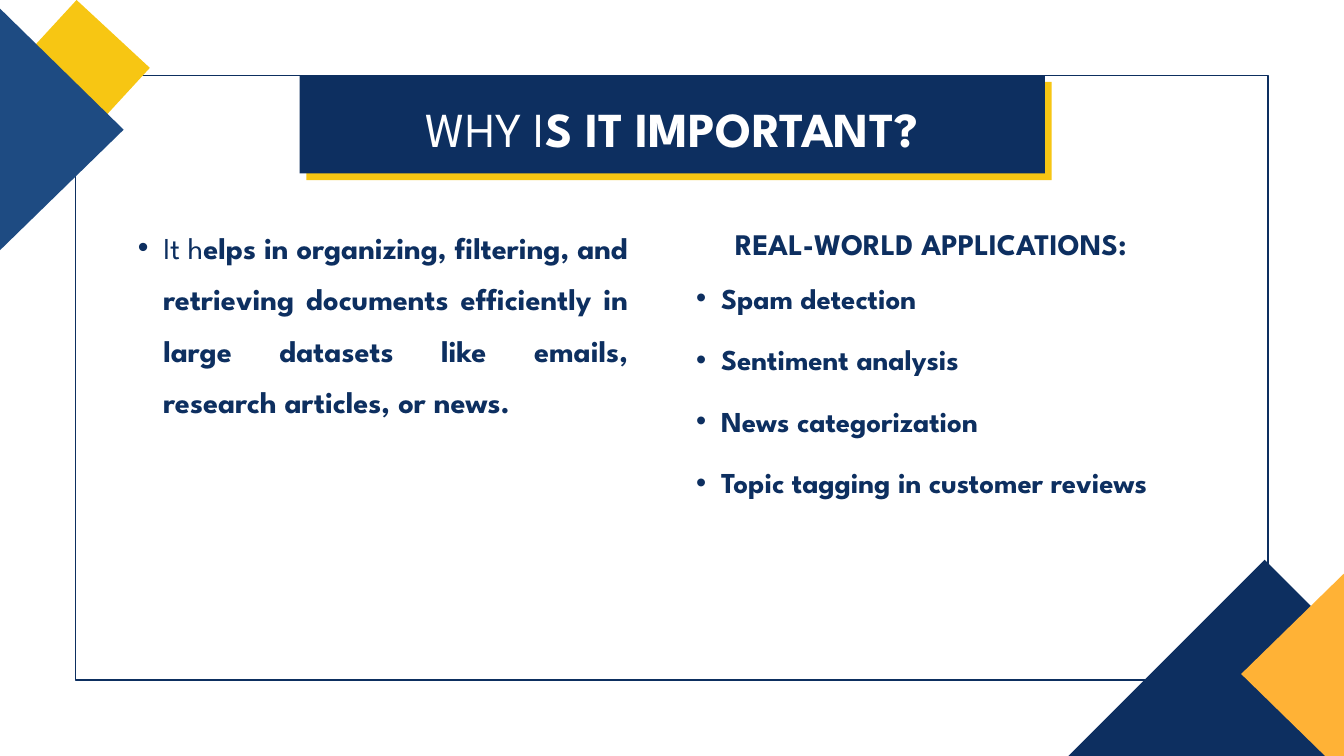
from dataclasses import dataclass

from lxml.etree import SubElement
from pptx import Presentation
from pptx.dml.color import RGBColor
from pptx.enum.shapes import MSO_SHAPE
from pptx.enum.text import MSO_ANCHOR, MSO_AUTO_SIZE, PP_ALIGN
from pptx.oxml.ns import qn
from pptx.util import Inches, Pt


@dataclass(frozen=True)
class Theme:
    font: str = "League Spartan"
    navy: str = "0D2F60"
    blue: str = "1E4B82"
    yellow: str = "F7C613"
    orange: str = "FFB236"
    white: str = "FFFFFF"
    title_size: float = 52.3
    heading_size: float = 32
    reason_size: float = 32.5
    application_size: float = 30.9


THEME = Theme()

REASON = [
    ("It h", False),
    ("elps in organizing, filtering, and retrieving documents efficiently "
     "in large datasets like emails, research articles, or news.", True),
]
APPLICATIONS = [
    "Spam detection",
    "Sentiment analysis",
    "News categorization",
    "Topic tagging in customer reviews",
]
CORNERS = [
    (THEME.yellow, [(1.14, 0), (2.23, 1.01), (0.96, 2.39), (-0.13, 1.38)]),
    (THEME.blue, [(1.84, 1.93), (-0.13, 3.85), (-0.13, 0)]),
    (THEME.navy, [(15.35, 11.8), (18.82, 8.33), (21.19, 10.7), (17.73, 14.17)]),
    (THEME.orange, [(18.47, 10.03), (20.21, 8.33), (20.21, 11.73)]),
]


def set_attributes(target, values):
    for name, value in values.items():
        setattr(target, name, value)


def place(shape, left, top, width, height):
    set_attributes(shape, {
        "left": Inches(left), "top": Inches(top),
        "width": Inches(width), "height": Inches(height),
    })


def paint(shape, fill, line=None):
    shape.shadow.inherit = False
    shape.fill.solid()
    shape.fill.fore_color.rgb = RGBColor.from_string(fill)
    if line:
        shape.line.color.rgb = RGBColor.from_string(line)
        shape.line.width = Pt(1.5)
    else:
        shape.line.fill.background()


def add_rectangle(slide, box, fill, line=None):
    rectangle = slide.shapes.add_shape(
        MSO_SHAPE.RECTANGLE, *(Inches(length) for length in box))
    paint(rectangle, fill, line)


def add_polygon(slide, points, fill):
    start, *others = [(Inches(x), Inches(y)) for x, y in points]
    builder = slide.shapes.build_freeform(*start)
    builder.add_line_segments(others, close=True)
    paint(builder.convert_to_shape(), fill)


def bring_to_front(shape):
    shape.element.getparent().append(shape.element)


def add_bullet(paragraph, margin, hanging):
    properties = paragraph._p.get_or_add_pPr()
    properties.set("marL", str(Inches(margin)))
    properties.set("indent", str(-Inches(hanging)))
    SubElement(properties, qn("a:buFont"), typeface="Arial")
    SubElement(properties, qn("a:buChar"), char="•")


def write(shape, paragraphs, size, color, spacing, align, bullet=None):
    """Fill a shape with paragraphs, each a list of (text, bold) runs."""
    frame = shape.text_frame
    set_attributes(frame, {
        "word_wrap": True, "auto_size": MSO_AUTO_SIZE.SHAPE_TO_FIT_TEXT,
        "vertical_anchor": MSO_ANCHOR.TOP,
        "margin_left": 0, "margin_top": 0, "margin_right": 0, "margin_bottom": 0,
    })
    for index, runs in enumerate(paragraphs):
        paragraph = frame.add_paragraph() if index else frame.paragraphs[0]
        set_attributes(paragraph, {
            "alignment": align, "line_spacing": Pt(spacing),
            "space_before": Pt(0), "space_after": Pt(0),
        })
        if bullet:
            paragraph.level = 1
            add_bullet(paragraph, *bullet)
        for text, bold in runs:
            run = paragraph.add_run()
            run.text = text
            set_attributes(run.font, {"name": THEME.font, "size": Pt(size), "bold": bold})
            run.font.color.rgb = RGBColor.from_string(color)


def add_banner(slide, title):
    left, top, width, height, offset = 4.46, 1.12, 11.09, 1.46, 0.1
    add_rectangle(slide, (left + offset, top + offset, width, height), THEME.yellow)
    add_rectangle(slide, (left, top, width, height), THEME.navy)
    place(title, 3.72, 1.32, 12.55, 0.97)
    write(title, [[("WHY I", False), ("S IT IMPORTANT?", True)]],
          THEME.title_size, THEME.white, 73.2, PP_ALIGN.CENTER)
    bring_to_front(title)


def add_lists(reason, applications):
    place(reason, 1.66, 3.18, 7.69, 3.74)
    write(reason, [REASON], THEME.reason_size, THEME.navy, 55.2,
          PP_ALIGN.JUSTIFY, bullet=(0.77, 0.38))
    place(applications, 10, 3.77, 7.55, 5.34)
    write(applications, [[(name, True)] for name in APPLICATIONS],
          THEME.application_size, THEME.navy, 65.9,
          PP_ALIGN.JUSTIFY, bullet=(0.73, 0.37))
    for column in (reason, applications):
        bring_to_front(column)


def add_heading(slide):
    heading = slide.shapes.add_textbox(
        Inches(4.98), Inches(3.27), Inches(17.75), Inches(0.59))
    write(heading, [[("REAL-WORLD APPLICATIONS:", True)]],
          THEME.heading_size, THEME.navy, 44.8, PP_ALIGN.CENTER)


def main():
    deck = Presentation()
    set_attributes(deck, {"slide_width": Inches(20), "slide_height": Inches(11.25)})
    two_content = deck.slide_layouts.get_by_name("Two Content")
    slide = deck.slides.add_slide(two_content)
    title, reason, applications = slide.placeholders

    add_rectangle(slide, (1.12, 1.12, 17.75, 9), THEME.white, THEME.navy)
    add_lists(reason, applications)
    add_banner(slide, title)
    for color, points in CORNERS:
        add_polygon(slide, points, color)
    add_heading(slide)
    deck.save("out.pptx")


if __name__ == "__main__":
    main()
